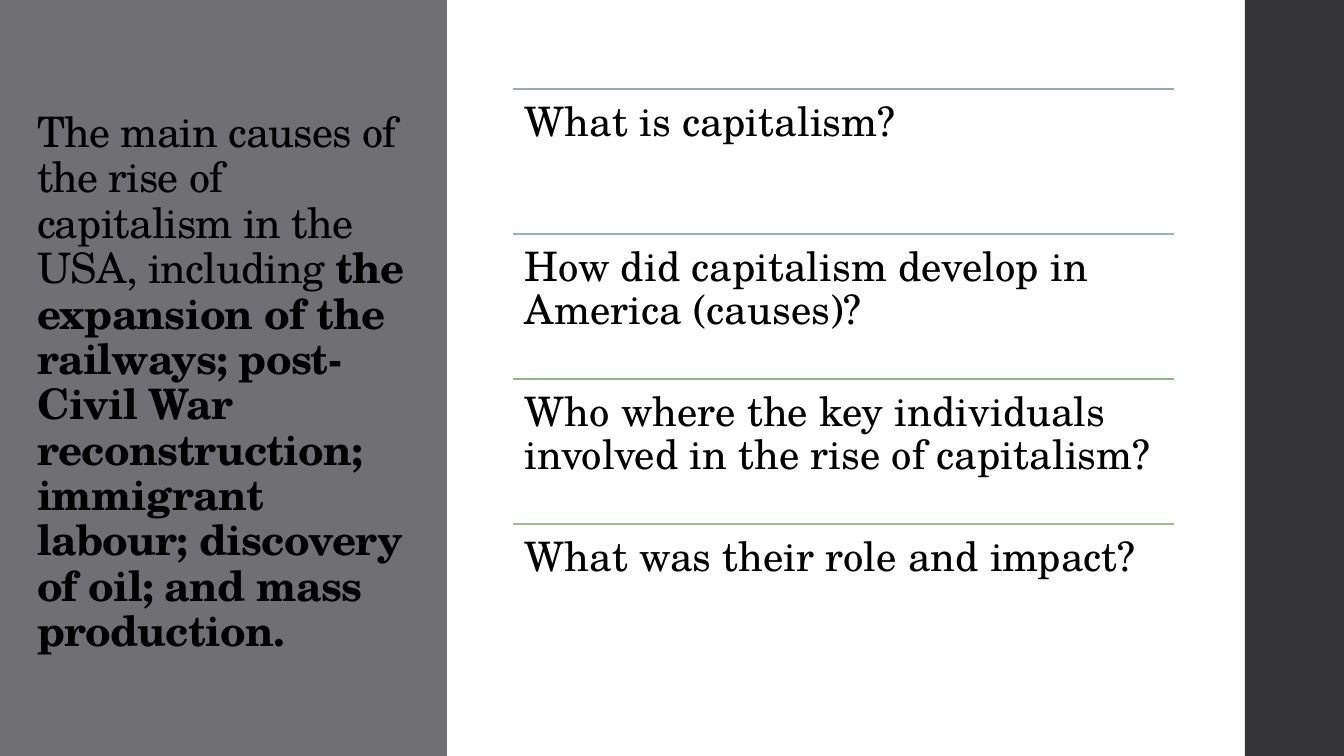
"""Build the slide on the rise of capitalism in the USA."""
from dataclasses import dataclass

from lxml.etree import SubElement
from pptx import Presentation
from pptx.dml.color import RGBColor
from pptx.enum.shapes import MSO_CONNECTOR, MSO_SHAPE
from pptx.enum.text import MSO_ANCHOR, MSO_AUTO_SIZE, PP_ALIGN
from pptx.oxml.ns import qn
from pptx.util import Emu, Pt

CAUSES = [
    ("The main causes of the rise of capitalism in the USA, including ", False),
    ("the expansion of the railways; post-Civil War reconstruction; "
     "immigrant labour; discovery of oil; and mass production.", True),
]
ROWS = [
    ("What is capitalism?", "92A9B9"),
    ("How did capitalism develop in America (causes)?", "8FB8AD"),
    ("Who where the key individuals involved in the rise of capitalism?", "8CB88E"),
    ("What was their role and impact?", "A7B789"),
]
WIDE, HIGH = 1344, 756
PANEL = (0, 0, 447, HIGH)
STRIPE = (1245, 0, WIDE - 1245, HIGH)
TITLE = (27, 41, 398, 685)
LEFT, TOP, SPAN, STEP = 513, 89, 661, 145


@dataclass(frozen=True)
class Theme:
    font: str = "TeX Gyre Schola"
    ink: str = "000000"
    panel: str = "6F6F74"
    stripe: str = "353537"
    head: int = 30
    body: int = 29
    rule: float = 1.1


LOOK = Theme()


def px(num):
    return Emu(round(num * 914400 / 100.8))


def color(code):
    return RGBColor.from_string(code)


def write(shape, runs, size, inset=None, anchor=MSO_ANCHOR.TOP, space=0):
    frame = shape.text_frame
    frame.word_wrap = True
    frame.auto_size = MSO_AUTO_SIZE.NONE
    frame.vertical_anchor = anchor
    if inset is not None:
        frame.margin_left = frame.margin_right = px(inset)
        frame.margin_top = frame.margin_bottom = px(inset)
    para = frame.paragraphs[0]
    para.alignment = PP_ALIGN.LEFT
    para.line_spacing = 0.9
    for text, bold in runs:
        run = para.add_run()
        run.text = text
        font = run.font
        font.name, font.size, font.bold = LOOK.font, Pt(size), bold
        font.color.rgb = color(LOOK.ink)
        if space:
            font._element.set("spc", str(space))


def block(slide, area, fill):
    shape = slide.shapes.add_shape(MSO_SHAPE.RECTANGLE, *map(px, area))
    shape.shadow.inherit = False
    shape.fill.solid()
    shape.fill.fore_color.rgb = color(fill)
    shape.line.fill.background()
    return shape


def rule(slide, top, shade):
    line = slide.shapes.add_connector(
        MSO_CONNECTOR.STRAIGHT, px(LEFT), px(top), px(LEFT + SPAN), px(top))
    line.line.color.rgb = color(shade)
    line.line.width = Pt(LOOK.rule)
    SubElement(line._element.spPr, qn("a:effectLst"))


def main():
    deck = Presentation()
    deck.slide_width, deck.slide_height = px(WIDE), px(HIGH)
    slide = deck.slides.add_slide(deck.slide_layouts[5])
    title = slide.shapes.title
    title.left, title.top, title.width, title.height = map(px, TITLE)
    panel = block(slide, PANEL, LOOK.panel)
    title.element.addprevious(panel.element)
    write(title, CAUSES, LOOK.head, anchor=MSO_ANCHOR.MIDDLE, space=-50)
    block(slide, STRIPE, LOOK.stripe)
    for row, (text, shade) in enumerate(ROWS):
        top = TOP + row * STEP
        rule(slide, top, shade)
        box = slide.shapes.add_textbox(*map(px, (LEFT, top, SPAN, STEP)))
        write(box, [(text, False)], LOOK.body, inset=12)
    deck.save("out.pptx")


if __name__ == "__main__":
    main()
